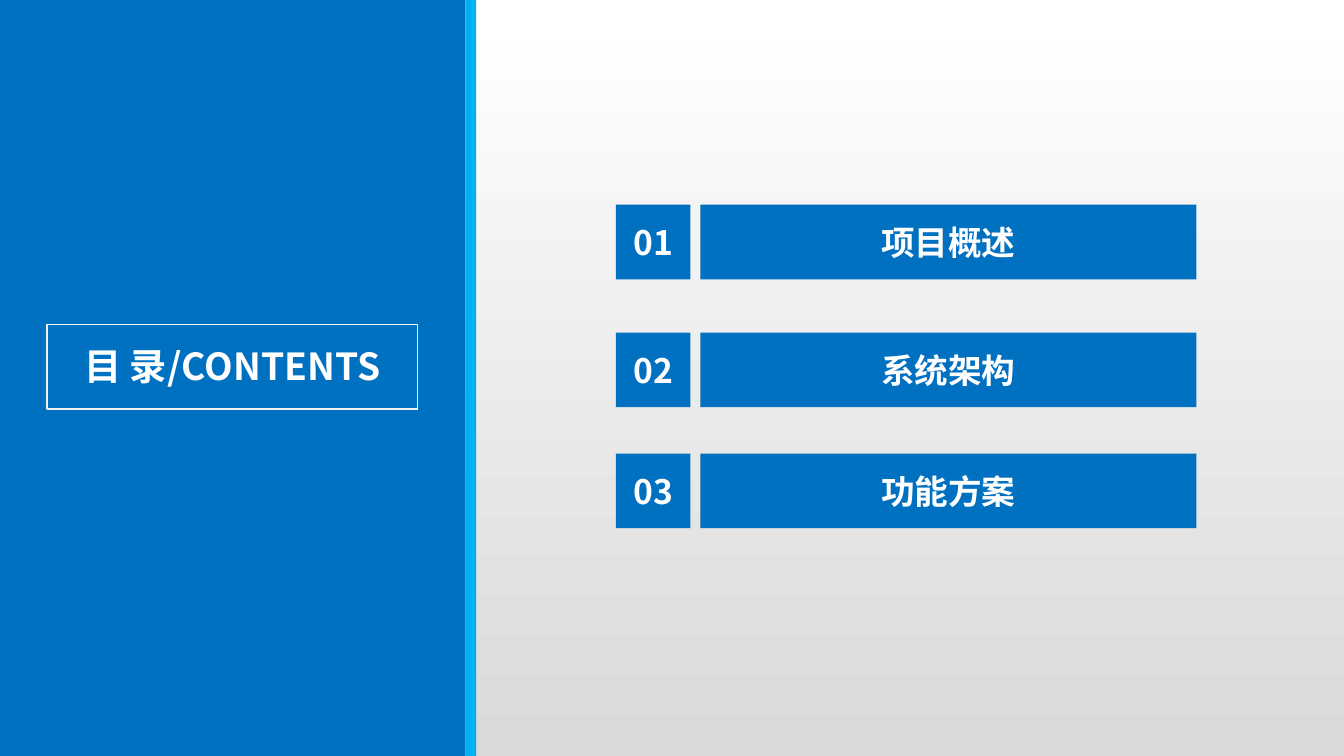
from lxml.etree import SubElement
from pptx import Presentation
from pptx.dml.color import RGBColor
from pptx.enum.shapes import MSO_CONNECTOR, MSO_SHAPE
from pptx.enum.text import MSO_ANCHOR, MSO_AUTO_SIZE, PP_ALIGN
from pptx.oxml.ns import qn
from pptx.util import Cm, Pt

BLUE = RGBColor(0x00, 0x70, 0xC0)
CYAN = RGBColor(0x00, 0xB0, 0xF0)
WHITE = RGBColor(0xFF, 0xFF, 0xFF)
PALE = RGBColor(0xF2, 0xF2, 0xF2)
GREY = RGBColor(0xD9, 0xD9, 0xD9)

FONT = "Noto Sans CJK SC"
HEIGHT = 19.05
ENTRIES = [("01", "项目概述", 5.16), ("02", "系统架构", 8.38), ("03", "功能方案", 11.43)]


def set_attributes(target, values):
    """Set each named attribute of the target."""
    for name, value in values.items():
        setattr(target, name, value)


def write_text(shape, text, size):
    """Write one centred bold white line into the shape."""
    frame = shape.text_frame
    frame.text = text
    frame.vertical_anchor = MSO_ANCHOR.MIDDLE
    paragraph = frame.paragraphs[0]
    paragraph.alignment = PP_ALIGN.CENTER
    run = paragraph.runs[0]
    set_attributes(run.font, {"name": FONT, "size": Pt(size), "bold": True})
    run.font.color.rgb = WHITE
    SubElement(run.font._element, qn("a:ea"), typeface=FONT)


def add_block(slide, left, top, width, height, fill=None):
    """Add a plain rectangle, without fill if no colour is given."""
    block = slide.shapes.add_shape(
        MSO_SHAPE.RECTANGLE, Cm(left), Cm(top), Cm(width), Cm(height))
    block.shadow.inherit = False
    block.line.fill.background()
    if fill is None:
        block.fill.background()
    else:
        block.fill.solid()
        block.fill.fore_color.rgb = fill
    return block


def add_rule(slide, x1, y1, x2, y2):
    """Add a thin pale line."""
    rule = slide.shapes.add_connector(
        MSO_CONNECTOR.STRAIGHT, Cm(x1), Cm(y1), Cm(x2), Cm(y2))
    rule.line.color.rgb = PALE
    rule.line.width = Pt(0.5)
    SubElement(rule._element.spPr, qn("a:effectLst"))


def add_frame(slide, left, top, width, height):
    """Add the outlined frame with a thin rule on each side."""
    right, bottom = left + width, top + height
    for y in (top, bottom):
        add_rule(slide, left, y, right, y)
    for x in (left, right):
        add_rule(slide, x, top, x, bottom)
    outline = add_block(slide, left, top, width, height)
    outline.line.color.rgb = PALE
    outline.line.width = Pt(1)


def place_title(slide, text):
    """Move the title into its frame, in front of the panel."""
    title = slide.shapes.title
    set_attributes(title, {"left": Cm(1.63), "top": Cm(8.51),
                           "width": Cm(8.46), "height": Cm(1.4)})
    write_text(title, text, 26.6)
    set_attributes(title.text_frame, {"word_wrap": False,
                                      "auto_size": MSO_AUTO_SIZE.NONE})
    slide.shapes._spTree.append(title._element)


def add_entry(slide, number, heading, top):
    """Add one numbered line of the contents."""
    write_text(add_block(slide, 15.52, top, 1.88, 1.88, BLUE), number, 24)
    write_text(add_block(slide, 17.65, top, 12.5, 1.88, BLUE), heading, 24)


def paint_background(slide):
    """Fill the background from white at the top to grey at the bottom."""
    fill = slide.background.fill
    fill.gradient()
    fill.gradient_angle = 270
    for stop, color, position in zip(fill.gradient_stops, (WHITE, GREY), (0, 1)):
        stop.color.rgb = color
        stop.position = position


def main():
    """Build the contents slide."""
    presentation = Presentation()
    set_attributes(presentation, {"slide_width": Cm(33.87),
                                  "slide_height": Cm(HEIGHT)})
    slide = presentation.slides.add_slide(presentation.slide_layouts[5])
    paint_background(slide)
    add_block(slide, 0, 0, 11.73, HEIGHT, BLUE)
    add_block(slide, 11.73, 0, 0.27, HEIGHT, CYAN)
    add_frame(slide, 1.19, 8.18, 9.34, 2.13)
    place_title(slide, "目 录/CONTENTS")
    for number, heading, top in ENTRIES:
        add_entry(slide, number, heading, top)
    presentation.save("out.pptx")


if __name__ == "__main__":
    main()
